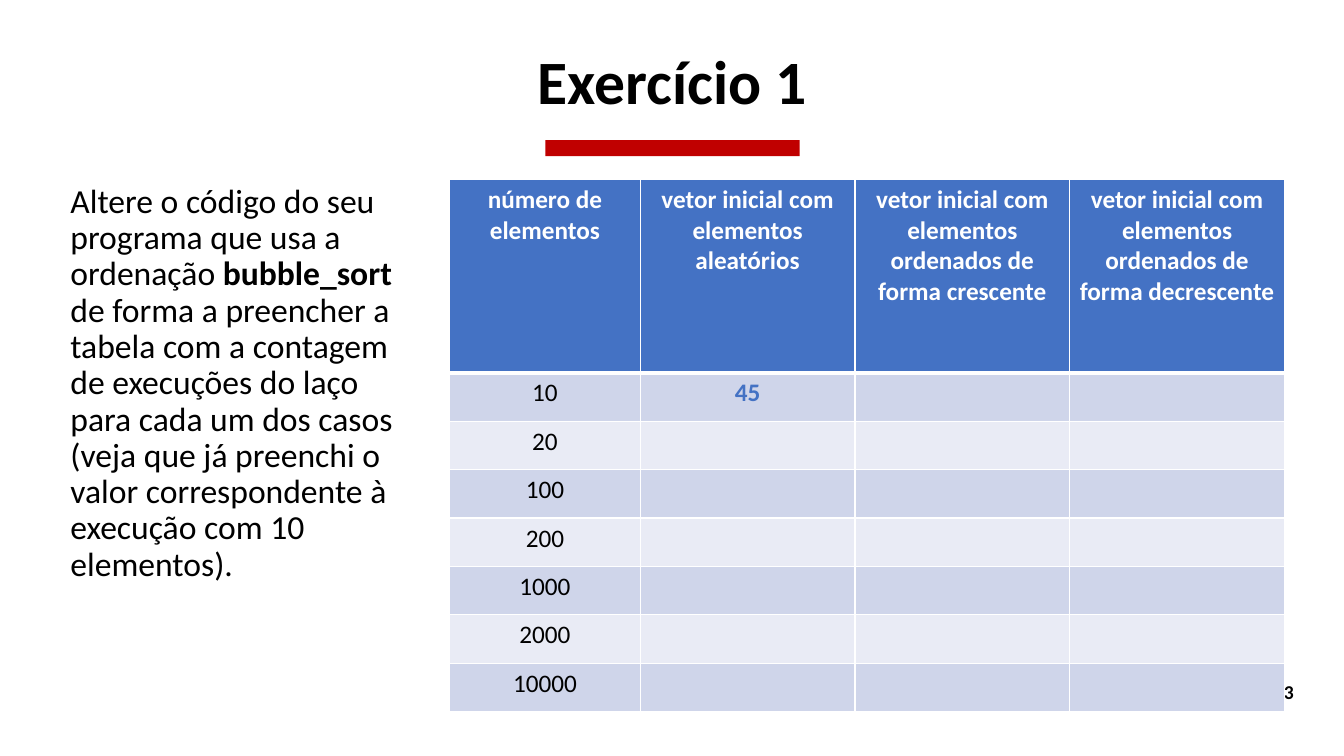
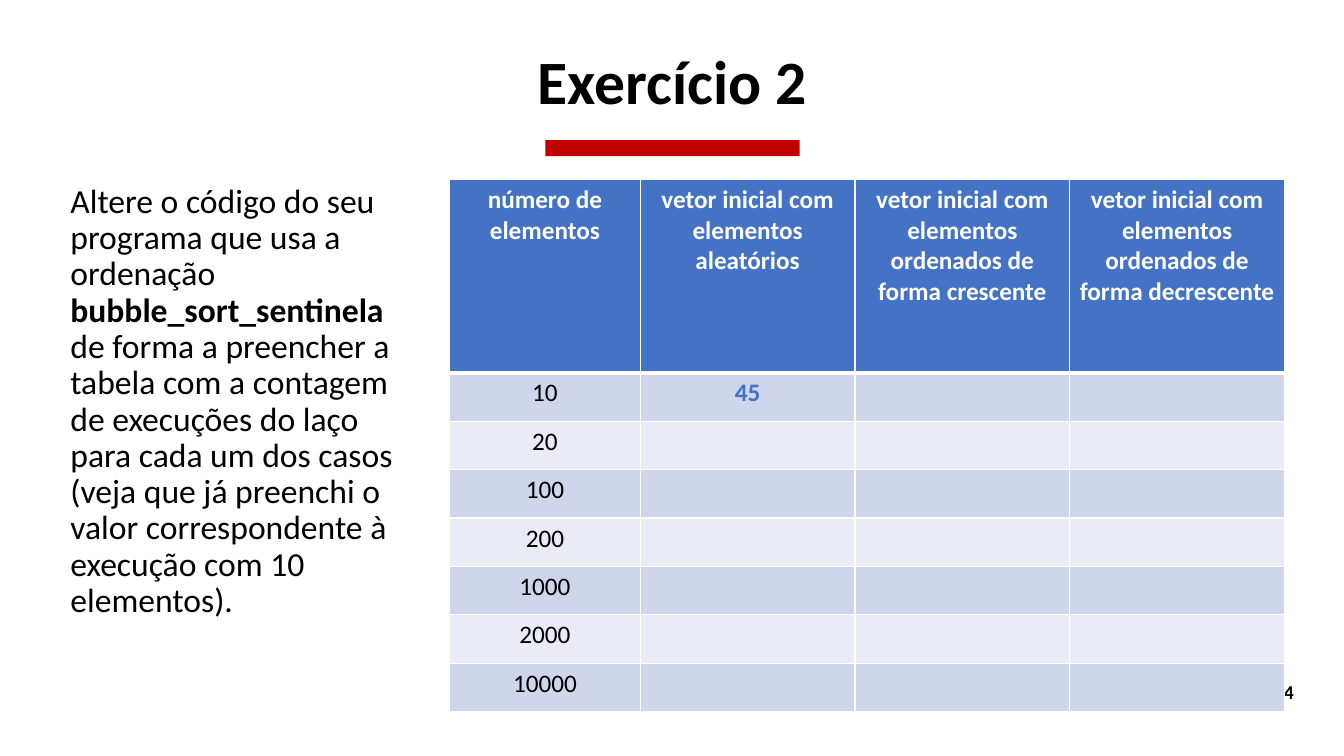
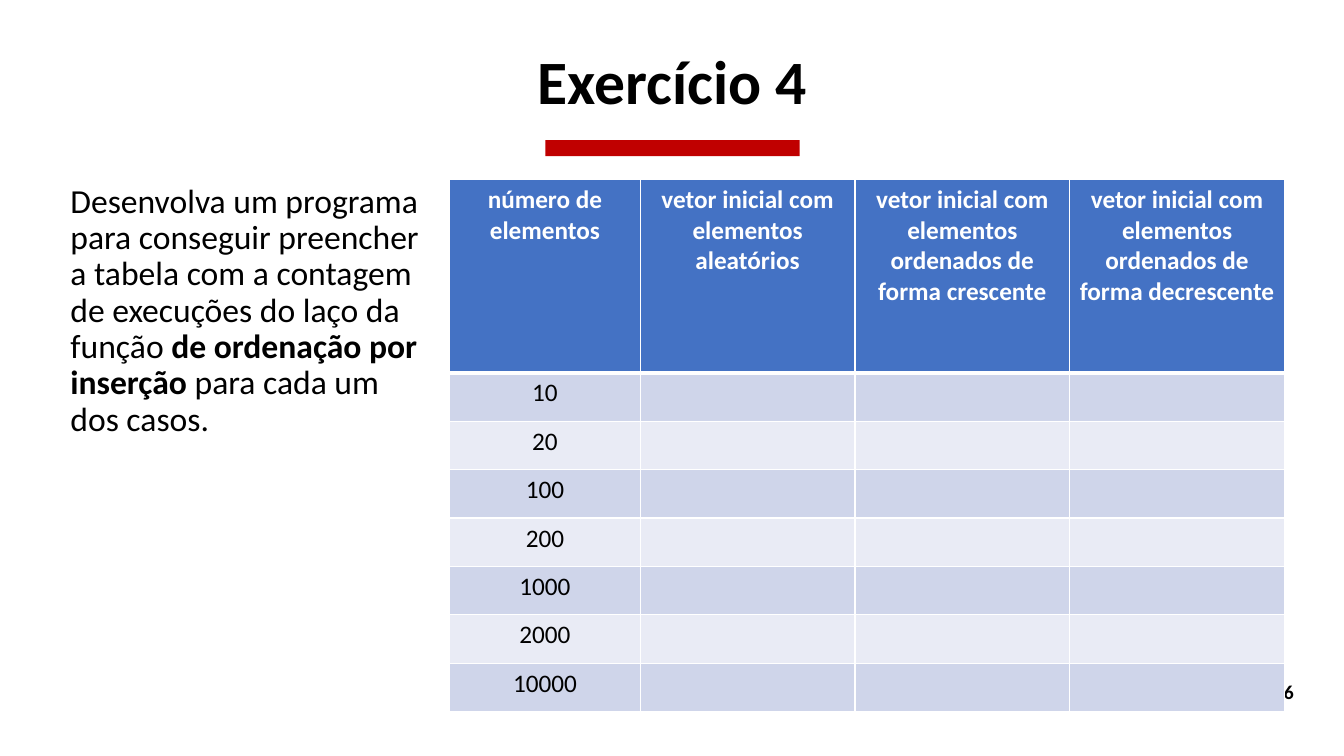
from lxml.etree import SubElement
from pptx import Presentation
from pptx.dml.color import RGBColor
from pptx.enum.shapes import MSO_SHAPE as Shape
from pptx.enum.text import MSO_ANCHOR as Anchor, PP_ALIGN as Align
from pptx.oxml.ns import qn
from pptx.util import Inches, Pt

FONT = "Calibri"
COLORS = {
    "text": "000000",
    "white": "FFFFFF",
    "accent": "C00000",
    "header": "4472C4",
    "odd_row": "CFD5EA",
    "even_row": "E9EBF5",
}

HEADERS = [
    "número de elementos",
    "vetor inicial com elementos aleatórios",
    "vetor inicial com elementos ordenados de forma crescente",
    "vetor inicial com elementos ordenados de forma decrescente",
]
SIZES = [10, 20, 100, 200, 1000, 2000, 10000]
COLUMN_WIDTHS = [1.89, 2.13, 2.13, 2.13]
HEADER_HEIGHT = 1.92
ROW_HEIGHT = 0.48

CHANGE_INTRO = "Altere o código do seu programa que usa a ordenação "
CHANGE_TASK = (
    "de forma a preencher a tabela com a contagem de execuções do laço para "
    "cada um dos casos (veja que já preenchi o valor correspondente à "
    "execução com 10 elementos)."
)

# Title, page number, instruction as (text, bold) parts, count for 10 random elements
EXERCISES = [
    ("Exercício 1", 3,
     [(CHANGE_INTRO, False), ("bubble_sort ", True), (CHANGE_TASK, False)], "45"),
    ("Exercício 2", 4,
     [(CHANGE_INTRO, False), ("bubble_sort_sentinela ", True), (CHANGE_TASK, False)], "45"),
    ("Exercício 4", 6,
     [("Desenvolva um programa para conseguir preencher a tabela com a contagem "
       "de execuções do laço da função ", False),
      ("de ordenação por inserção", True),
      (" para cada um dos casos.", False)], ""),
]


def rgb(color):
    return RGBColor.from_string(COLORS[color])


def style_font(font, size, bold=False, color="text"):
    font.name = FONT
    font.size = Pt(size)
    font.bold = bold
    font.color.rgb = rgb(color)


def add_text(slide, box, parts, size, align=Align.LEFT, anchor=Anchor.TOP, spacing=None):
    """Add one paragraph made of (text, bold) parts."""
    frame = slide.shapes.add_textbox(*map(Inches, box)).text_frame
    frame.word_wrap = True
    frame.vertical_anchor = anchor
    paragraph = frame.paragraphs[0]
    paragraph.alignment = align
    paragraph.line_spacing = spacing
    for text, bold in parts:
        run = paragraph.add_run()
        run.text = text
        style_font(run.font, size, bold)


def add_title_bar(slide):
    bar = slide.shapes.add_shape(Shape.RECTANGLE, *map(Inches, (5.41, 1.39, 2.52, 0.16)))
    bar.shadow.inherit = False
    bar.fill.solid()
    bar.fill.fore_color.rgb = rgb("accent")
    bar.line.fill.background()


def add_frame(slide, title, page):
    """Add the bar, page number and title that every slide has."""
    add_title_bar(slide)
    add_text(slide, (9.93, 6.7, 3, 0.4), [(str(page), True)], 14, Align.RIGHT)
    add_text(slide, (1.17, 0.45, 11, 0.77), [(title, True)], 44,
             Align.CENTER, Anchor.BOTTOM, 0.9)


def set_borders(cell, top, bottom):
    properties = cell._tc.get_or_add_tcPr()
    for side, width in (("L", 1), ("R", 1), ("T", top), ("B", bottom)):
        line = SubElement(properties, qn(f"a:ln{side}"), w=str(Pt(width)))
        fill = SubElement(line, qn("a:solidFill"))
        SubElement(fill, qn("a:srgbClr"), val=COLORS["white"])


def fill_cell(cell, text, row, column):
    is_header = row == 0
    set_borders(cell, top=3 if row == 1 else 1, bottom=3 if is_header else 1)
    background = "header" if is_header else "odd_row" if row % 2 else "even_row"
    cell.fill.solid()
    cell.fill.fore_color.rgb = rgb(background)
    paragraph = cell.text_frame.paragraphs[0]
    paragraph.text = text
    paragraph.alignment = Align.CENTER
    is_count = not is_header and column > 0
    color = "white" if is_header else "header" if is_count else "text"
    style_font(paragraph.font, 18, is_header or is_count, color)
    for run in paragraph.runs:
        style_font(run.font, 18, is_header or is_count, color)


def add_count_table(slide, first_count):
    rows = [HEADERS] + [[str(size), "", "", ""] for size in SIZES]
    rows[1][1] = first_count
    heights = [HEADER_HEIGHT] + [ROW_HEIGHT] * len(SIZES)
    table = slide.shapes.add_table(
        len(rows), len(HEADERS), Inches(4.46), Inches(1.78),
        Inches(sum(COLUMN_WIDTHS)), Inches(sum(heights))).table
    for column, width in zip(table.columns, COLUMN_WIDTHS):
        column.width = Inches(width)
    for row, height in zip(table.rows, heights):
        row.height = Inches(height)
    for r, texts in enumerate(rows):
        for c, text in enumerate(texts):
            fill_cell(table.cell(r, c), text, r, c)


def main():
    deck = Presentation()
    deck.slide_width, deck.slide_height = Inches(13.33), Inches(7.5)
    for title, page, instruction, first_count in EXERCISES:
        slide = deck.slides.add_slide(deck.slide_layouts[6])
        add_frame(slide, title, page)
        add_text(slide, (0.6, 1.78, 3.69, 4.41), instruction, 24, spacing=0.9)
        add_count_table(slide, first_count)
    deck.save("out.pptx")


if __name__ == "__main__":
    main()
